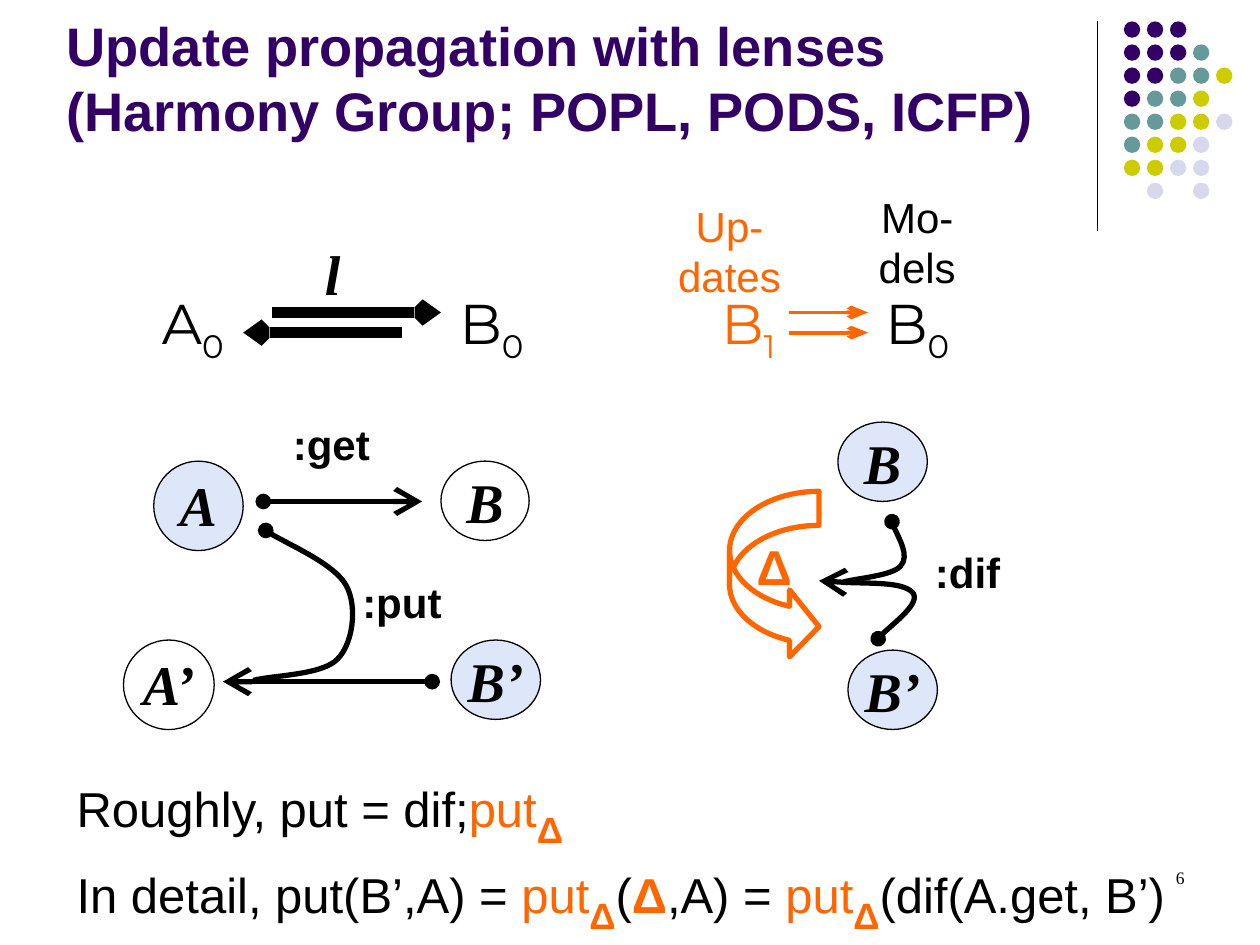
from lxml import etree
from pptx import Presentation
from pptx.dml.color import RGBColor
from pptx.enum.shapes import MSO_CONNECTOR, MSO_SHAPE
from pptx.enum.text import MSO_ANCHOR, PP_ALIGN
from pptx.oxml.ns import qn
from pptx.util import Inches, Pt

HUES = {"ink": "000000", "plum": "330066", "teal": "669999", "lime": "CCCC00",
        "mist": "D8D8EC", "blue": "7E9CE8", "fire": "FF6600"}
COLOR = {name: RGBColor.from_string(code) for name, code in HUES.items()}
LEFT, MID, RIGHT = PP_ALIGN.LEFT, PP_ALIGN.CENTER, PP_ALIGN.RIGHT

prs = Presentation()
prs.slide_width, prs.slide_height = Inches(10), Inches(7.5)
slide = prs.slides.add_slide(prs.slide_layouts[6])
shapes = slide.shapes


def write(frame, lines, size, font="Arial", hue="ink", align=MID, bold=False,
          italic=False, before=0):
    """Each line is a list of runs; a run is (text, style changes)."""
    for i, runs in enumerate(lines):
        para = frame.add_paragraph() if i else frame.paragraphs[0]
        para.alignment, para.space_before = align, Pt(0 if i else before)
        para.font.size, para.font.name = Pt(size), font
        para.font.bold, para.font.italic = bold, italic
        para.font.color.rgb = COLOR[hue]
        for text, style in runs:
            run = para.add_run()
            run.text = text
            if "hue" in style:
                run.font.color.rgb = COLOR[style["hue"]]
            if "bold" in style:
                run.font.bold = True
            if "size" in style:
                run.font.size = Pt(style["size"])
            if "sub" in style:
                run._r.get_or_add_rPr().set("baseline", "-25000")


def stroke(shape, hue, width, head=None, tail=None, wide="lg", long="lg"):
    """Style a line and its two ends, without a shadow."""
    shape.line.color.rgb, shape.line.width = COLOR[hue], Pt(width)
    ln = shape.line._get_or_add_ln()
    if head:
        etree.SubElement(ln, qn("a:headEnd"), type=head)
    if tail:
        etree.SubElement(ln, qn("a:tailEnd"), type=tail, w=wide, len=long)
    props = shape._element.spPr
    if props.find(qn("a:effectLst")) is None:
        etree.SubElement(props, qn("a:effectLst"))


# Corner ornament: rule and dot grid
rule = shapes.add_connector(MSO_CONNECTOR.STRAIGHT, Inches(8.71), Inches(0.17),
                            Inches(8.71), Inches(1.83))
stroke(rule, "ink", 0.75)
KEYS = {"p": "plum", "t": "teal", "l": "lime", "m": "mist"}
GRID = ["ppp", "pppt", "ppttl", "pttl", "ttllm", "tllm", "llmm", " m m"]
for row, keys in enumerate(GRID):
    for col, key in enumerate(keys):
        if key in KEYS:
            dot = shapes.add_shape(
                MSO_SHAPE.OVAL, Inches(8.92 + col * 1.28 / 7),
                Inches(0.17 + row * 1.28 / 7), Inches(0.13), Inches(0.13))
            dot.fill.solid()
            dot.fill.fore_color.rgb = COLOR[KEYS[key]]
            dot.line.fill.background()
            dot.shadow.inherit = False

# Object nodes
for text, x, y, w, h, full in [
        ("A", 1.22, 3.66, 0.71, 0.71, True), ("B’", 3.58, 5.08, 0.71, 0.63, True),
        ("A’", 0.98, 5.08, 0.72, 0.71, False), ("B", 3.5, 3.66, 0.7, 0.63, False),
        ("B’", 6.73, 5.16, 0.71, 0.63, True), ("B", 6.65, 3.35, 0.71, 0.63, True)]:
    node = shapes.add_shape(MSO_SHAPE.OVAL, Inches(x), Inches(y), Inches(w), Inches(h))
    node.shadow.inherit = False
    stroke(node, "ink", 0.75)
    if full:
        node.fill.solid()
        node.fill.fore_color.rgb = COLOR["blue"]
        tint = node._element.spPr.find(qn("a:solidFill"))[0]
        etree.SubElement(tint, qn("a:alpha"), val="25000")
    else:
        node.fill.background()
    frame = node.text_frame
    frame.word_wrap, frame.vertical_anchor = False, MSO_ANCHOR.MIDDLE
    if h > 0.7:
        frame.margin_top = Inches(0.02)
    write(frame, [[(text, {})]], 32, "Times New Roman", bold=True, italic=True)

# Straight arrows
for x, y, end, hue, width, head, wide, long in [
        (2.09, 3.98, 3.35, "ink", 3, "oval", "lg", "lg"),
        (3.43, 5.41, 1.77, "ink", 3, "oval", "lg", "lg"),
        (2.16, 2.48, 3.5, "ink", 6, None, "sm", "sm"),
        (3.19, 2.64, 1.93, "ink", 6, None, "sm", "sm"),
        (6.26, 2.48, 6.89, "fire", 2.25, None, "med", "lg"),
        (6.26, 2.64, 6.89, "fire", 2.25, None, "med", "lg")]:
    arrow = shapes.add_connector(MSO_CONNECTOR.STRAIGHT, Inches(x), Inches(y),
                                 Inches(end), Inches(y))
    stroke(arrow, hue, width, head, "arrow", wide, long)

# Curves in hundredths of an inch: a start, then three points per Bézier piece
for start, points, tail in [
        ((211, 421), [(222, 429), (266, 448), (275, 465),
                      (284, 482), (280, 511), (268, 523),
                      (256, 536), (215, 536), (201, 540)], None),
        ((708, 414), [(709, 419), (722, 441), (715, 449),
                      (709, 457), (679, 459), (669, 462)], None),
        ((697, 507), [(701, 501), (732, 478), (724, 470),
                      (716, 462), (665, 463), (650, 461)], "arrow")]:
    pen = shapes.build_freeform(*start, scale=Inches(0.01))
    pen.add_line_segments(points, close=False)
    curve = pen.convert_to_shape()
    curve.fill.background()
    curve.shadow.inherit = False
    stroke(curve, "ink", 3, "oval", tail)
    track = next(curve._element.iter(qn("a:path")))
    track.set("fill", "none")
    legs = track.findall(qn("a:lnTo"))
    for i in range(0, len(legs), 3):
        bend = etree.SubElement(track, qn("a:cubicBezTo"))
        for leg in legs[i:i + 3]:
            bend.append(leg[0])
            track.remove(leg)

# Delta arrow
delta = shapes.add_shape(MSO_SHAPE.CURVED_RIGHT_ARROW, Inches(5.79), Inches(3.9),
                         Inches(0.71), Inches(1.34))
for i, ratio in enumerate([0.38, 0.75, 0.33]):
    delta.adjustments[i] = ratio
delta.fill.background()
delta.shadow.inherit = False
stroke(delta, "fire", 3)
frame = delta.text_frame
frame.word_wrap, frame.vertical_anchor = False, MSO_ANCHOR.MIDDLE
frame.margin_bottom = Inches(0.2)
write(frame, [[("Δ", {})]], 28, hue="fire", bold=True)

# Texts
SUB = {"sub": True}
PUT = [("put", {"hue": "fire"}),
       ("Δ", {"hue": "fire", "bold": True, "size": 36, "sub": True})]
NOTES = [[("Roughly, put = dif;", {})] + PUT,
         [("In detail, put(B’,A) = ", {})] + PUT
         + [("(", {}), ("Δ", {"hue": "fire", "bold": True}), (",A) = ", {})]
         + PUT + [("(dif(A.get, B’)", {})]]
NAME = {"size": 32, "font": "Montserrat", "before": 20}
VERB = {"size": 24, "bold": True, "before": 15}
WORD = {"size": 24, "before": 15}
for x, y, w, h, lines, style in [
        (1.06, 2.24, 0.94, 0.71, [[("A", {}), ("0", SUB)]], NAME),
        (3.43, 2.24, 0.94, 0.71, [[("B", {}), ("0", SUB)]], NAME),
        (6.81, 2.24, 0.94, 0.71, [[("B", {}), ("0", SUB)]], NAME),
        (5.47, 2.24, 0.94, 0.71, [[("B", {}), ("1", SUB)]], {**NAME, "hue": "fire"}),
        (2.16, 3.27, 0.94, 0.5, [[(":get", {})]], VERB),
        (2.72, 4.53, 0.94, 0.5, [[(":put", {})]], VERB),
        (7.21, 4.29, 0.94, 0.5, [[(":dif", {})]], VERB),
        (6.81, 1.47, 0.94, 0.9, [[("Mo-dels", {})]], WORD),
        (5.24, 1.54, 1.1, 0.9, [[("Up-dates", {})]], {**WORD, "hue": "fire"}),
        (2.09, 1.85, 1.1, 0.64, [[("l", {})]],
         {"size": 32, "font": "Times New Roman", "bold": True, "italic": True,
          "before": 20}),
        (0.51, 6.02, 8.98, 1.47, NOTES, {"size": 28, "align": LEFT, "before": 22.5}),
        (7.17, 6.83, 2.33, 0.5, [[("6", {})]],
         {"size": 10, "font": "Times New Roman", "align": RIGHT}),
        (0.43, 0, 8.25, 1.18, [[("Update propagation with lenses", {})],
                               [("(Harmony Group; POPL, PODS, ICFP)", {})]],
         {"size": 31, "hue": "plum", "align": LEFT, "bold": True})]:
    box = shapes.add_textbox(Inches(x), Inches(y), Inches(w), Inches(h))
    box.text_frame.word_wrap = True
    if y == 0:
        box.text_frame.vertical_anchor = MSO_ANCHOR.BOTTOM
    write(box.text_frame, lines, **style)

prs.save("out.pptx")
